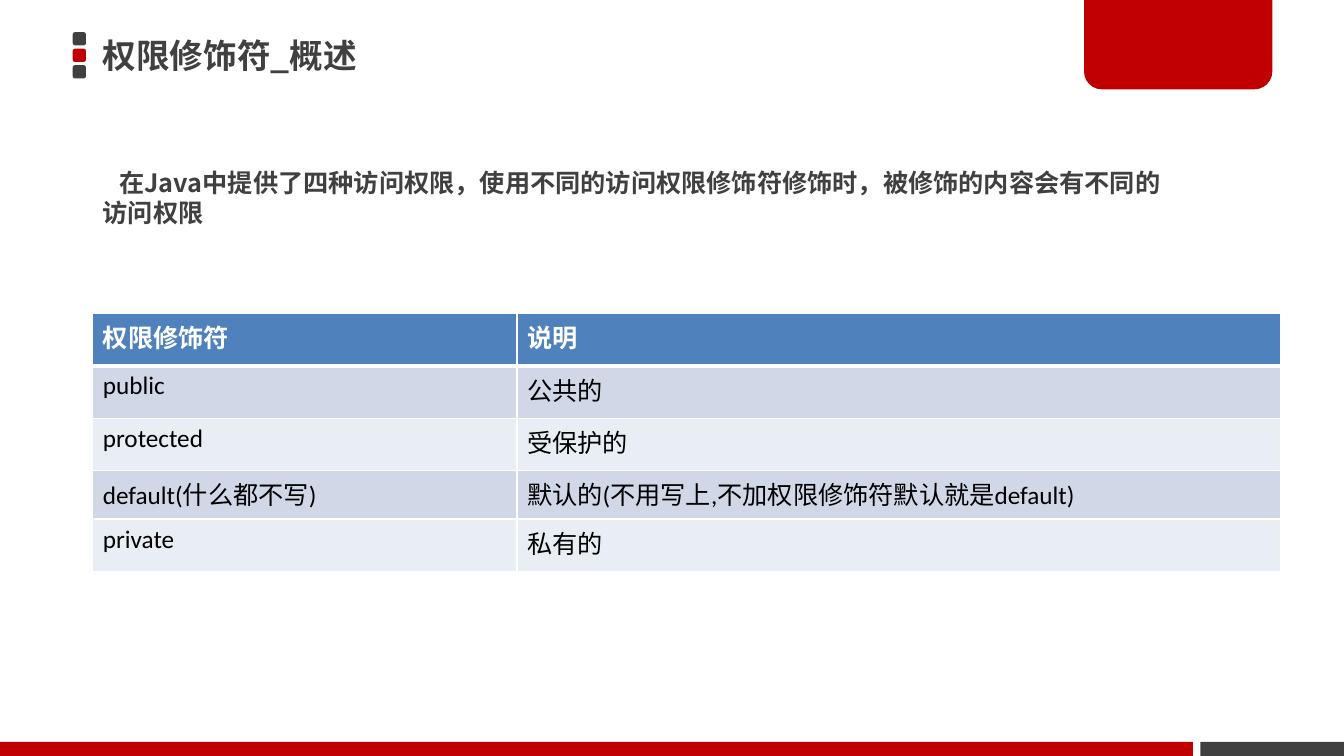
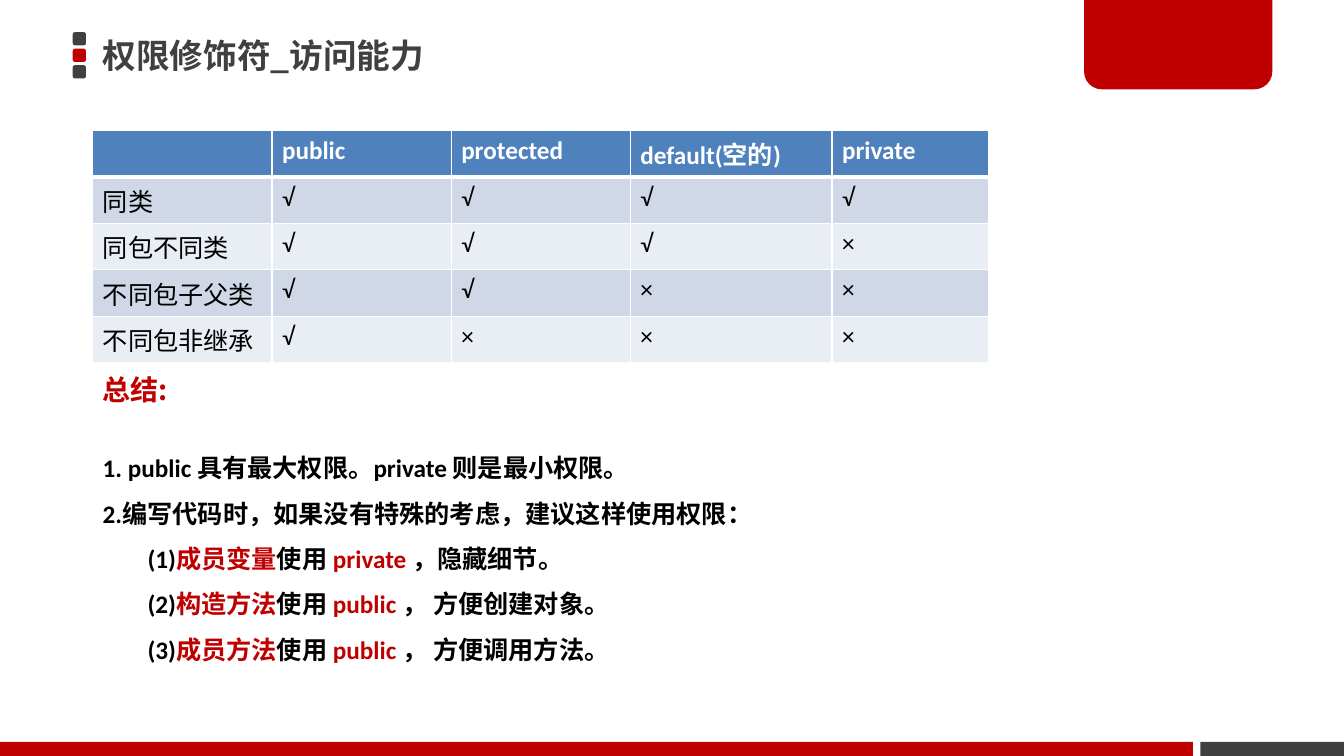
from dataclasses import dataclass

from lxml.etree import SubElement
from pptx import Presentation
from pptx.dml.color import RGBColor
from pptx.enum.lang import MSO_LANGUAGE_ID as Language
from pptx.enum.shapes import MSO_SHAPE as Shape
from pptx.enum.text import MSO_ANCHOR as Anchor
from pptx.oxml.ns import qn
from pptx.util import Pt


@dataclass(frozen=True)
class Theme:
    red: str = "C00000"
    dark: str = "404040"
    black: str = "000000"
    white: str = "FFFFFF"
    header: str = "4F81BD"
    bands: tuple = ("D0D8E8", "E9EDF4")
    latin: str = "Calibri"
    chinese: str = "Noto Sans CJK JP"
    title_size: float = 24
    heading_size: float = 20
    body_size: float = 18


THEME = Theme()
WIDTH, HEIGHT = 960, 540
LEFT = 66.3


def add_run(paragraph, text, size=THEME.body_size, color=THEME.black,
            bold=True, font=THEME.latin):
    run = paragraph.add_run()
    run.text = text
    run.font.size = Pt(size)
    run.font.bold = bold
    run.font.color.rgb = RGBColor.from_string(color)
    run.font.name = font
    run.font.language_id = Language.SIMPLIFIED_CHINESE
    properties = run._r.get_or_add_rPr()
    SubElement(properties, qn("a:ea")).set("typeface", THEME.chinese)


def add_text_box(slide, box, anchor=Anchor.TOP):
    frame = slide.shapes.add_textbox(*map(Pt, box)).text_frame
    frame.word_wrap = True
    frame.vertical_anchor = anchor
    return frame


def add_block(slide, kind, box, color):
    shape = slide.shapes.add_shape(kind, *map(Pt, box))
    shape.shadow.inherit = False
    shape.fill.solid()
    shape.fill.fore_color.rgb = RGBColor.from_string(color)
    shape.line.fill.background()
    return shape


def add_title_marker(slide, box, gap=2.4):
    """Stack three small rounded squares, the middle one red."""
    left, top, side = box
    for index, color in enumerate((THEME.dark, THEME.red, THEME.dark)):
        place = (left, top + index * (side + gap), side, side)
        add_block(slide, Shape.ROUNDED_RECTANGLE, place, color)


def add_footer(slide, box, dark_width=102.5, gap=5.5):
    left, top, width, height = box
    red_width = width - dark_width - gap
    add_block(slide, Shape.RECTANGLE, (left, top, red_width, height), THEME.red)
    add_block(slide, Shape.RECTANGLE,
              (left + width - dark_width, top, dark_width, height), THEME.dark)


def add_framed_slide(presentation, title):
    """Add a blank slide with the shared decoration and its title."""
    slide = presentation.slides.add_slide(presentation.slide_layouts[6])
    add_title_marker(slide, (52, 23, 9.4))
    tab = add_block(slide, Shape.ROUND_2_SAME_RECTANGLE,
                    (774.3, 0, 134.5, 63.8), THEME.red)
    tab.adjustments[0], tab.adjustments[1] = 0, 0.2
    add_footer(slide, (0, 530, WIDTH, 10))
    frame = add_text_box(slide, (LEFT, 18.7, 690, 41), Anchor.MIDDLE)
    add_run(frame.paragraphs[0], title, size=THEME.title_size,
            color=THEME.dark, font=THEME.chinese)
    return slide


def set_borders(cell, **widths):
    """Draw white cell borders; keys are the sides L, R, T and B."""
    properties = cell._tc.get_or_add_tcPr()
    for side, width in widths.items():
        line = SubElement(properties, qn(f"a:ln{side}"), w=str(Pt(width)))
        fill = SubElement(line, qn("a:solidFill"))
        SubElement(fill, qn("a:srgbClr"), val=THEME.white)


def add_grid(slide, position, column_widths, row_heights, rows):
    """Add a table with a blue header row and banded body rows."""
    left, top = position
    box = (left, top, sum(column_widths), sum(row_heights))
    table = slide.shapes.add_table(
        len(rows), len(column_widths), *map(Pt, box)).table
    for column, width in zip(table.columns, column_widths):
        column.width = Pt(width)
    for index, (row, height, texts) in enumerate(
            zip(table.rows, row_heights, rows)):
        row.height = Pt(height)
        is_header = index == 0
        fill = THEME.header if is_header else THEME.bands[(index - 1) % 2]
        for cell, text in zip(row.cells, texts):
            set_borders(cell, L=1, R=1, T=3 if index == 1 else 1,
                        B=3 if is_header else 1)
            cell.fill.solid()
            cell.fill.fore_color.rgb = RGBColor.from_string(fill)
            if text:
                add_run(cell.text_frame.paragraphs[0], text, bold=is_header,
                        color=THEME.white if is_header else THEME.black)


def add_intro(slide, box, text):
    paragraph = add_text_box(slide, box).paragraphs[0]
    paragraph.line_spacing = Pt(21.4)
    paragraph._p.get_or_add_pPr().set("indent", str(Pt(12)))
    add_run(paragraph, text, color=THEME.dark, font=THEME.chinese)


def add_summary(slide, box, rules, advice):
    """Write a red heading, numbered rules and indented advice below them."""
    left, top, width, height = box
    heading_height = 46.8
    heading = add_text_box(slide, (left, top, width, heading_height))
    add_run(heading.paragraphs[0], "总结:", size=THEME.heading_size,
            color=THEME.red, font=THEME.chinese)

    frame = add_text_box(slide, (left, top + heading_height, width,
                                 height - heading_height))
    lines = [[(rule, THEME.black)] for rule in rules]
    for number, (member, modifier, reason) in enumerate(advice, 1):
        lines.append([(f"({number})", THEME.black), (member, THEME.red),
                      ("使用 ", THEME.black), (f"{modifier} ", THEME.red),
                      (reason, THEME.black)])
    for index, line in enumerate(lines):
        paragraph = frame.add_paragraph() if index else frame.paragraphs[0]
        paragraph.line_spacing = Pt(32.4)
        if index >= len(rules):
            paragraph._p.get_or_add_pPr().set("marL", str(Pt(32)))
        for text, color in line:
            add_run(paragraph, text, color=color)


def build_overview(presentation):
    slide = add_framed_slide(presentation, "权限修饰符_概述")
    add_intro(slide, (LEFT, 116, 775.5, 50),
              "在Java中提供了四种访问权限，使用不同的访问权限修饰符修饰时，"
              "被修饰的内容会有不同的访问权限")
    add_grid(slide, (LEFT, 224), (303, 545.5), (37.4, 37.4, 37.4, 34.6, 37.4), [
        ("权限修饰符", "说明"),
        ("public", "公共的"),
        ("protected", "受保护的"),
        ("default(什么都不写)", "默认的(不用写上,不加权限修饰符默认就是default)"),
        ("private", "私有的"),
    ])


def build_access(presentation):
    slide = add_framed_slide(presentation, "权限修饰符_访问能力")
    scopes = ("同类", "同包不同类", "不同包子父类", "不同包非继承")
    rows = [("", "public", "protected", "default(空的)", "private")]
    for index, scope in enumerate(scopes):
        allowed = len(scopes) - index
        rows.append((scope, *"√" * allowed, *"×" * index))
    add_grid(slide, (LEFT, 93.2), (128, 128, 128, 144, 112),
             [33.2] * len(rows), rows)
    add_summary(slide, (LEFT, 262.2, 866, 214), (
        "1. public 具有最大权限。private 则是最小权限。",
        "2.编写代码时，如果没有特殊的考虑，建议这样使用权限：",
    ), (
        ("成员变量", "private", "，隐藏细节。"),
        ("构造方法", "public", "， 方便创建对象。"),
        ("成员方法", "public", "， 方便调用方法。"),
    ))


def main():
    presentation = Presentation()
    presentation.slide_width, presentation.slide_height = Pt(WIDTH), Pt(HEIGHT)
    build_overview(presentation)
    build_access(presentation)
    presentation.save("out.pptx")


if __name__ == "__main__":
    main()
